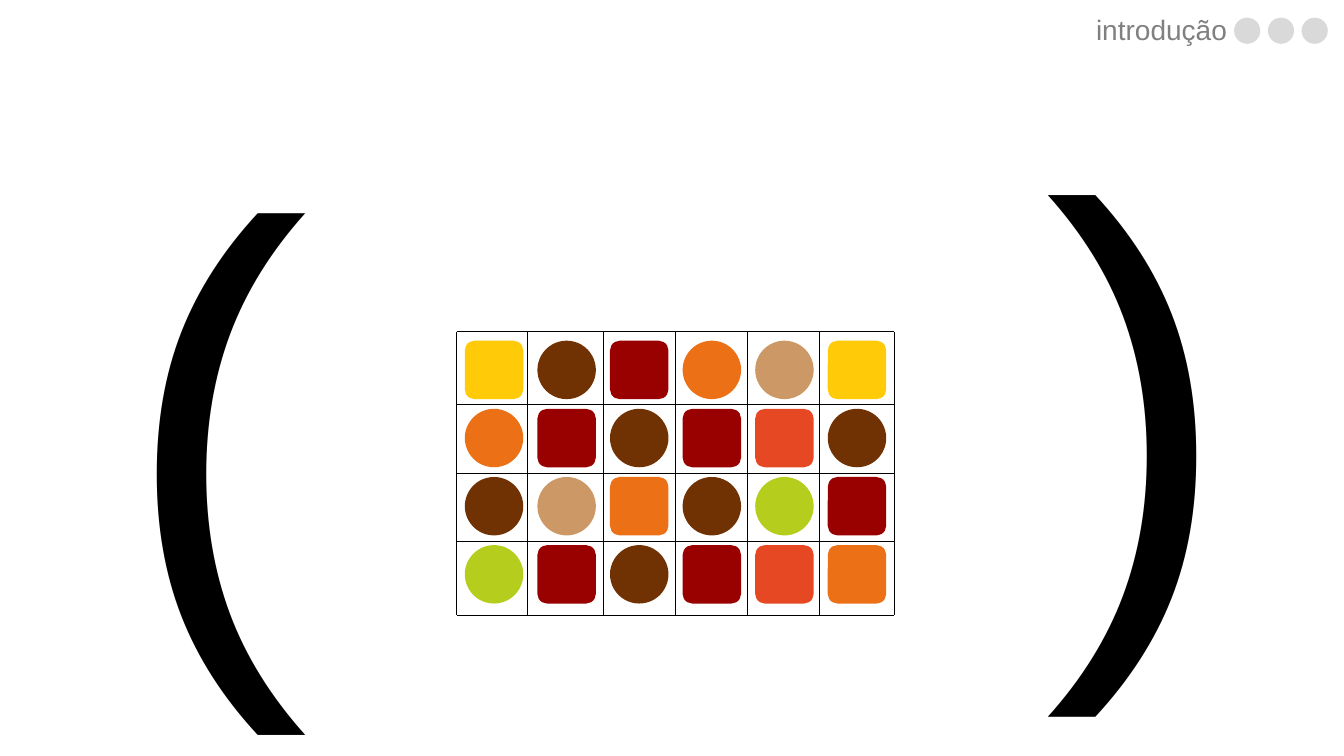
"""Build the introduction slide: a grid of coloured pieces between two large brackets."""
from lxml import etree
from pptx import Presentation
from pptx.dml.color import RGBColor
from pptx.enum.shapes import MSO_CONNECTOR, MSO_SHAPE
from pptx.enum.text import MSO_ANCHOR, MSO_AUTO_SIZE, PP_ALIGN
from pptx.oxml.ns import qn
from pptx.util import Inches, Pt

CIRCLE = MSO_SHAPE.OVAL
SQUARE = MSO_SHAPE.ROUNDED_RECTANGLE
STRAIGHT = MSO_CONNECTOR.STRAIGHT
TITLE_ONLY = 5

BLACK = "000000"
GREY = "808080"
LIGHT_GREY = "D9D9D9"
YELLOW = "FFCA08"
BROWN = "703103"
RED = "990000"
ORANGE = "EC7016"
TAN = "CC9966"
CORAL = "E64823"
GREEN = "B5CE1E"

PIECE = 0.58
PIECE_LEFT, PIECE_TOP = 4.61, 3.38
COLUMN_STEP, ROW_STEP = 0.72, 0.676
PIECES = [
    [(SQUARE, YELLOW), (CIRCLE, BROWN), (SQUARE, RED),
     (CIRCLE, ORANGE), (CIRCLE, TAN), (SQUARE, YELLOW)],
    [(CIRCLE, ORANGE), (SQUARE, RED), (CIRCLE, BROWN),
     (SQUARE, RED), (SQUARE, CORAL), (CIRCLE, BROWN)],
    [(CIRCLE, BROWN), (CIRCLE, TAN), (SQUARE, ORANGE),
     (CIRCLE, BROWN), (CIRCLE, GREEN), (SQUARE, RED)],
    [(CIRCLE, GREEN), (SQUARE, RED), (CIRCLE, BROWN),
     (SQUARE, RED), (SQUARE, CORAL), (SQUARE, ORANGE)],
]
COLUMN_LINES = [4.53, 5.23, 5.98, 6.7, 7.41, 8.13, 8.87]
ROW_LINES = [3.29, 4.01, 4.7, 5.37, 6.1]

deck = Presentation()
deck.slide_width, deck.slide_height = Inches(13.33), Inches(7.5)
page = deck.slides.add_slide(deck.slide_layouts[TITLE_ONLY])


def write(box, text, size, colour, align):
    """Fill a text box with one formatted line."""
    frame = box.text_frame
    frame.text = text
    frame.word_wrap = True
    frame.auto_size = MSO_AUTO_SIZE.NONE
    frame.vertical_anchor = MSO_ANCHOR.MIDDLE
    para = frame.paragraphs[0]
    para.alignment = align
    para.line_spacing = 0.9
    span = para.runs[0]
    span.font.name = "Arial"
    span.font.size = Pt(size)
    span.font.color.rgb = RGBColor.from_string(colour)


def add_piece(kind, left, top, size, colour):
    """Draw one flat coloured piece."""
    piece = page.shapes.add_shape(
        kind, Inches(left), Inches(top), Inches(size), Inches(size))
    piece.shadow.inherit = False
    piece.fill.solid()
    piece.fill.fore_color.rgb = RGBColor.from_string(colour)
    piece.line.fill.background()


title = page.shapes.title
title.left, title.top = Inches(9.85), Inches(0.08)
title.width, title.height = Inches(2.42), Inches(0.47)
write(title, "introdução", 20, GREY, PP_ALIGN.RIGHT)

for step in range(3):
    add_piece(CIRCLE, 12.24 + step * 0.335, 0.175, 0.26, LIGHT_GREY)

for row, pieces in enumerate(PIECES):
    for column, (kind, colour) in enumerate(pieces):
        add_piece(kind, PIECE_LEFT + column * COLUMN_STEP,
                  PIECE_TOP + row * ROW_STEP, PIECE, colour)

left, right = COLUMN_LINES[0], COLUMN_LINES[-1]
top, bottom = ROW_LINES[0], ROW_LINES[-1]
grid_lines = [(left, y, right, y) for y in ROW_LINES]
grid_lines += [(x, bottom, x, top) for x in COLUMN_LINES]
for ends in grid_lines:
    line = page.shapes.add_connector(STRAIGHT, *map(Inches, ends))
    line.line.width = Pt(0.5)
    line.line.color.rgb = RGBColor.from_string(BLACK)
    etree.SubElement(line._element.spPr, qn("a:effectLst"))

for bracket_left, bracket_top, turn in [(-0.52, 1.11, 0), (8.62, 1.65, 180)]:
    bracket = page.shapes.add_textbox(
        Inches(bracket_left), Inches(bracket_top), Inches(5.33), Inches(6.47))
    bracket.rotation = turn
    write(bracket, "(", 400, BLACK, PP_ALIGN.CENTER)

deck.save("out.pptx")
